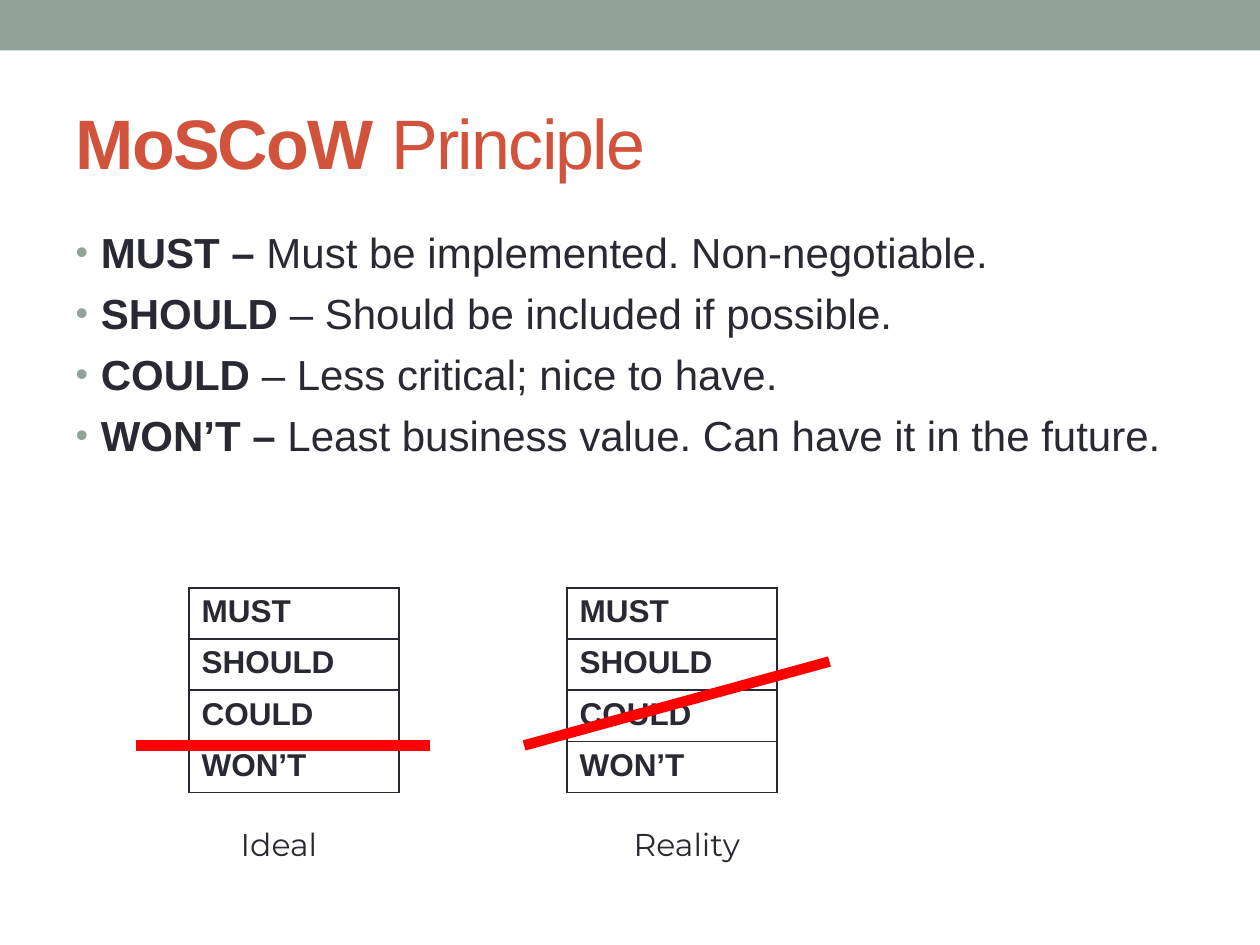
"""Build a slide on the MoSCoW principle with two priority stacks."""
import pptx
import pptx.util
import pptx.dml.color
import pptx.enum.shapes
import pptx.enum.text
import pptx.oxml
import pptx.oxml.ns

Pt = pptx.util.Pt
RGB = pptx.dml.color.RGBColor
Anchor = pptx.enum.text.MSO_ANCHOR
Fit = pptx.enum.text.MSO_AUTO_SIZE
Align = pptx.enum.text.PP_ALIGN

SAGE = RGB(0x93, 0xA2, 0x99)
RUST = RGB(0xD2, 0x53, 0x3C)
INK = RGB(0x29, 0x29, 0x34)
RED = RGB(0xFF, 0x00, 0x00)

TITLE = [("MoSCoW", True), (" Principle", False)]
ITEMS = [
    [("MUST – ", True), ("Must be implemented. Non-negotiable.", False)],
    [("SHOULD ", True), ("– Should be included if possible.", False)],
    [("COULD ", True), ("– Less critical; nice to have.", False)],
    [("WON’T – ", True), ("Least business value. Can have it in the future.", False)],
]
LEVELS = ["MUST", "SHOULD", "COULD", "WON’T"]
STACKS = [
    {"left": 108, "name": "Ideal", "box": (130.5, 64), "cut": (78, 426, 246, 426)},
    {"left": 324, "name": "Reality", "box": (355, 83.5), "cut": (299.5, 426, 474, 378)},
]
TOP, WIDE, ROW = 336, 120, 29.2


def node(parent, xml):
    tag, rest = xml.split(" ", 1)
    space = pptx.oxml.ns.nsdecls("a")
    parent.append(pptx.oxml.parse_xml(f"<a:{tag} {space} {rest}"))


def write(para, parts, size, color, font="Arial"):
    for text, bold in parts:
        run = para.add_run()
        run.text = text
        run.font.name = font
        run.font.size = Pt(size)
        run.font.bold = bold
        run.font.color.rgb = color


def place(shape, left, top, width, height):
    shape.left, shape.top = Pt(left), Pt(top)
    shape.width, shape.height = Pt(width), Pt(height)


def add_head(slide):
    bar = slide.shapes.add_shape(
        pptx.enum.shapes.MSO_SHAPE.RECTANGLE, 0, 0, Pt(720), Pt(28.8))
    bar.shadow.inherit = False
    bar.fill.solid()
    bar.fill.fore_color.rgb = SAGE
    bar.line.fill.background()
    title = slide.shapes.title
    place(title, 36, 42, 648, 78)
    frame = title.text_frame
    frame.auto_size = Fit.NONE
    frame.vertical_anchor = Anchor.MIDDLE
    para = frame.paragraphs[0]
    para.alignment = Align.LEFT
    write(para, TITLE, 40, RUST)
    for run in para.runs:
        run.font._element.set("spc", "-100")


def add_list(slide):
    body = slide.placeholders[1]
    place(body, 36, 126, 648, 192)
    frame = body.text_frame
    frame.auto_size = Fit.NONE
    for i, parts in enumerate(ITEMS):
        para = frame.add_paragraph() if i else frame.paragraphs[0]
        para.space_before = Pt(6)
        write(para, parts, 24, INK)
        props = para._p.get_or_add_pPr()
        props.set("marL", str(Pt(14.4)))
        props.set("indent", str(-Pt(14.4)))
        node(props, f'buClr ><a:srgbClr val="{SAGE}"/></a:buClr>')
        node(props, 'buSzPct val="85000"/>')
        node(props, 'buFont typeface="Arial"/>')
        node(props, 'buChar char="•"/>')


def add_stack(slide, left):
    count = len(LEVELS)
    table = slide.shapes.add_table(
        count, 1, Pt(left), Pt(TOP), Pt(WIDE), Pt(ROW * count)).table
    table.first_row = table.horz_banding = False
    for i, level in enumerate(LEVELS):
        table.rows[i].height = Pt(ROW)
        cell = table.cell(i, 0)
        props = cell._tc.get_or_add_tcPr()
        for side in "LRTB":
            node(props, f'ln{side} w="{Pt(1)}"><a:solidFill>'
                        f'<a:srgbClr val="{INK}"/></a:solidFill></a:ln{side}>')
        cell.fill.background()
        write(cell.text_frame.paragraphs[0], [(level, True)], 18, INK)


def add_cut(slide, ends):
    line = slide.shapes.add_connector(
        pptx.enum.shapes.MSO_CONNECTOR.STRAIGHT, *map(Pt, ends))
    line.line.color.rgb = RED
    line.line.width = Pt(6)
    node(line._element.spPr, "effectLst />")


def add_name(slide, text, left, width):
    box = slide.shapes.add_textbox(Pt(left), Pt(468), Pt(width), Pt(29))
    frame = box.text_frame
    frame.word_wrap = False
    frame.auto_size = Fit.SHAPE_TO_FIT_TEXT
    write(frame.paragraphs[0], [(text, False)], 18, INK, "Montserrat")


def main():
    deck = pptx.Presentation()
    deck.slide_width, deck.slide_height = Pt(720), Pt(540)
    slide = deck.slides.add_slide(deck.slide_layouts[1])
    add_head(slide)
    add_list(slide)
    for stack in STACKS:
        add_stack(slide, stack["left"])
    for stack in STACKS:
        add_cut(slide, stack["cut"])
        add_name(slide, stack["name"], *stack["box"])
    deck.save("out.pptx")


if __name__ == "__main__":
    main()
